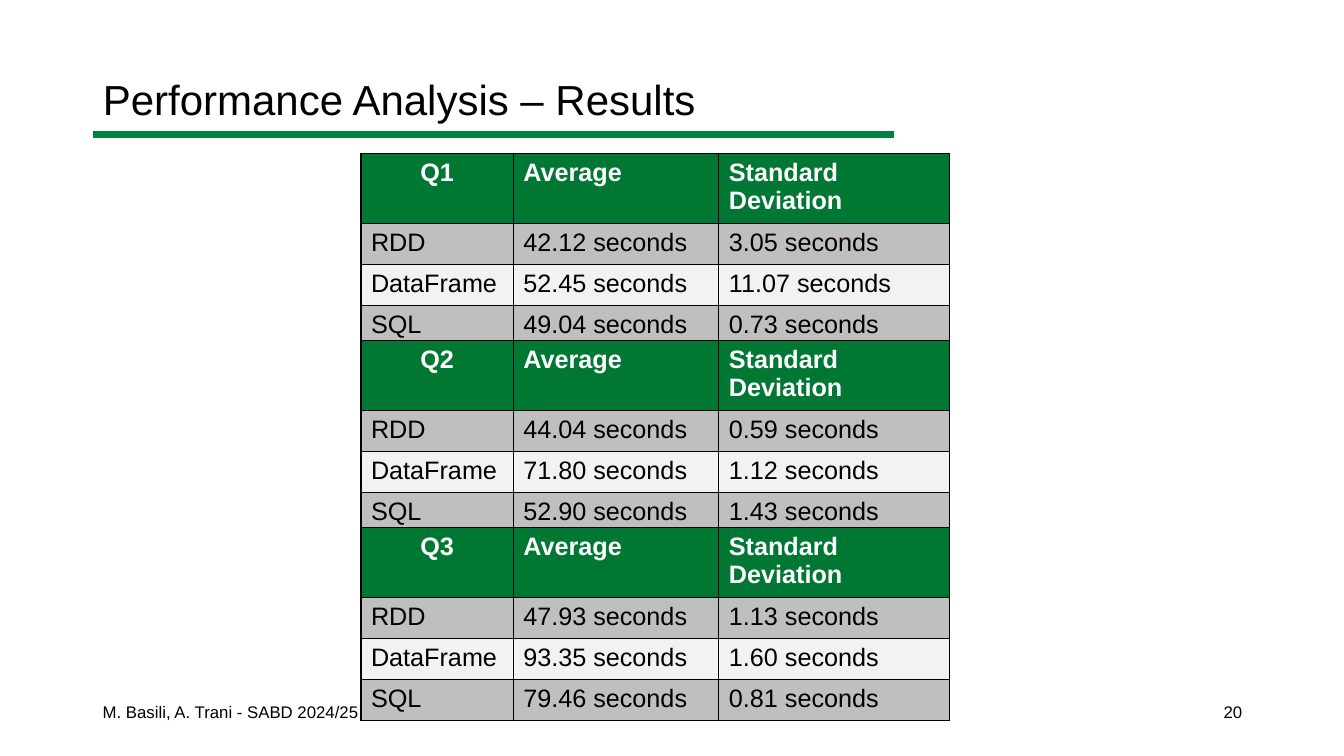
"""Build the performance results slide with one timing table per query."""
from lxml.etree import SubElement
from pptx import Presentation
from pptx.dml.color import RGBColor
from pptx.enum.shapes import MSO_CONNECTOR
from pptx.enum.text import MSO_ANCHOR, MSO_AUTO_SIZE, PP_ALIGN as Align
from pptx.oxml import parse_xml
from pptx.oxml.ns import nsdecls, qn
from pptx.util import Inches, Pt


def color(hex_code):
    return RGBColor.from_string(hex_code)


def write(frame, text, size, hex_code="000000", bold=False, align=Align.LEFT):
    frame.text = text
    paragraph = frame.paragraphs[0]
    paragraph.alignment = align
    font = paragraph.runs[0].font
    for key, value in {"name": "Arial", "size": Pt(size), "bold": bold}.items():
        setattr(font, key, value)
    font.color.rgb = color(hex_code)


deck = Presentation()
deck.slide_width, deck.slide_height = Inches(13.33), Inches(7.5)
slide = deck.slides.add_slide(deck.slide_layouts[5])

MARGIN = 0.92
FOOTER_WIDTH = 3
CONTENT_WIDTH = 11.5

underline = slide.shapes.add_connector(
    MSO_CONNECTOR.STRAIGHT, Inches(MARGIN), Inches(1.33), Inches(8.87), Inches(1.33))
underline.line.color.rgb = color("00823F")
underline.line.width = Pt(5)
SubElement(underline._element.spPr, qn("a:effectLst"))

title = slide.shapes.title
title_box = {"left": MARGIN, "top": 0.29, "width": CONTENT_WIDTH, "height": 1.45}
for side, length in title_box.items():
    setattr(title, side, Inches(length))
title.text_frame.vertical_anchor = MSO_ANCHOR.MIDDLE
title.text_frame.auto_size = MSO_AUTO_SIZE.NONE
write(title.text_frame, "Performance Analysis – Results", 30)
title.text_frame.paragraphs[0].line_spacing = 0.9

footers = [
    (MARGIN, "M. Basili, A. Trani - SABD 2024/25", Align.LEFT),
    (MARGIN + CONTENT_WIDTH - FOOTER_WIDTH, "20", Align.RIGHT),
]
for left, text, align in footers:
    footer = slide.shapes.add_textbox(
        Inches(left), Inches(6.86), Inches(FOOTER_WIDTH), Inches(0.4)).text_frame
    footer.word_wrap = True
    footer.vertical_anchor = MSO_ANCHOR.MIDDLE
    write(footer, text, 12, align=align)

METHODS = ["RDD", "DataFrame", "SQL"]
timings = {
    "Q1": [("42.12", "3.05"), ("52.45", "11.07"), ("49.04", "0.73")],
    "Q2": [("44.04", "0.59"), ("71.80", "1.12"), ("52.90", "1.43")],
    "Q3": [("47.93", "1.13"), ("93.35", "1.60"), ("79.46", "0.81")],
}
COLUMN_WIDTHS = [1.51, 2.04, 2.29]
ROW_HEIGHT = 0.405
ROW_FILLS = ["007834", "BFBFBF", "F2F2F2", "BFBFBF"]
TABLE_TOP, TABLE_PITCH = 1.52, 1.855

for index, (query, results) in enumerate(timings.items()):
    rows = [(query, "Average", "Standard Deviation")]
    for method, values in zip(METHODS, results):
        rows.append((method, *(f"{value} seconds" for value in values)))
    table = slide.shapes.add_table(
        len(rows), len(COLUMN_WIDTHS), Inches(3.58), Inches(TABLE_TOP + index * TABLE_PITCH),
        Inches(sum(COLUMN_WIDTHS)), Inches(ROW_HEIGHT * len(rows))).table
    for column, width in zip(table.columns, COLUMN_WIDTHS):
        column.width = Inches(width)
    for r, (row, fill) in enumerate(zip(rows, ROW_FILLS)):
        header = r == 0
        for c, text in enumerate(row):
            cell = table.cell(r, c)
            write(cell.text_frame, text, 18, "FFFFFF" if header else "000000", header,
                  Align.CENTER if header and c == 0 else Align.LEFT)
            properties = cell._tc.get_or_add_tcPr()
            for edge in ("lnL", "lnR", "lnT", "lnB"):
                properties.append(parse_xml(
                    f'<a:{edge} {nsdecls("a")} w="{Pt(1)}"><a:solidFill>'
                    f'<a:srgbClr val="000000"/></a:solidFill></a:{edge}>'))
            cell.fill.solid()
            cell.fill.fore_color.rgb = color(fill)

deck.save("out.pptx")
